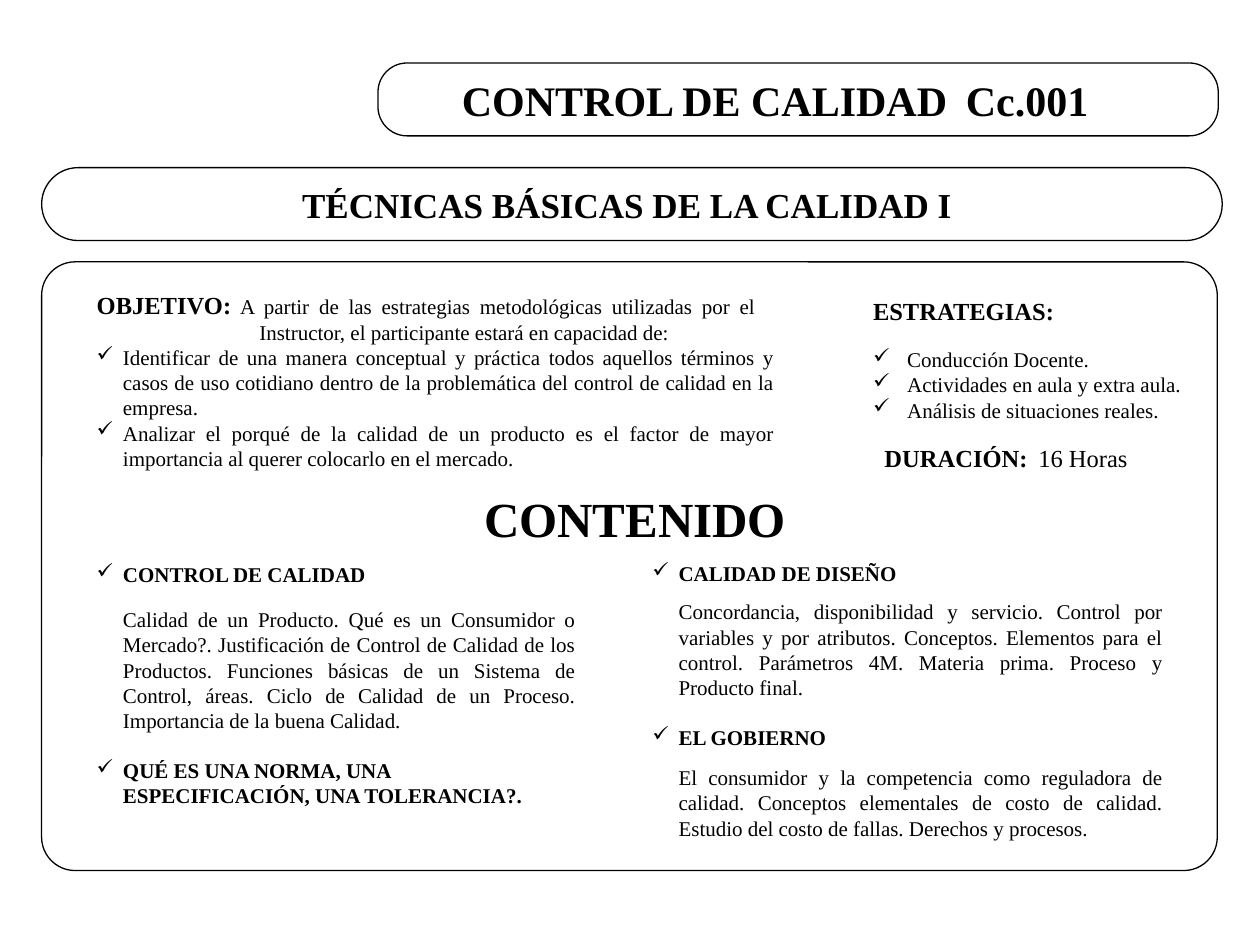
"""Build the course sheet for basic quality techniques."""
from lxml.etree import SubElement
from pptx import Presentation
from pptx.dml.color import RGBColor
from pptx.enum.shapes import MSO_SHAPE
from pptx.enum.text import MSO_ANCHOR, PP_ALIGN
from pptx.oxml.ns import qn
from pptx.util import Cm, Pt

LEFT, CENTER, JUSTIFY = PP_ALIGN.LEFT, PP_ALIGN.CENTER, PP_ALIGN.JUSTIFY


def rgb(value):
    return RGBColor.from_string(value)


def add_text(tf, text, p=None, size=12, bold=False, align=LEFT, before=0,
             margin=0, hang=0, right=0, check=False, tab=None):
    if p is None:
        p = tf.add_paragraph() if tf.paragraphs[0].runs else tf.paragraphs[0]
        pPr = p._p.get_or_add_pPr()
        pPr.set("marL", str(Cm(margin)))
        pPr.set("indent", str(-Cm(hang)))
        pPr.set("marR", str(Cm(right)))
        if check:
            clr = SubElement(pPr, qn("a:buClr"))
            SubElement(clr, qn("a:srgbClr"), val="000000")
            SubElement(pPr, qn("a:buChar"), char="✓")
        else:
            SubElement(pPr, qn("a:buNone"))
        if tab:
            tabs = SubElement(pPr, qn("a:tabLst"))
            SubElement(tabs, qn("a:tab"), pos=str(Cm(tab)), algn="l")
        p.alignment = align
        p.space_before = Pt(before)
    r = p.add_run()
    r.text = text
    r.font.name = "Times New Roman"
    r.font.size = Pt(size)
    r.font.bold = bold
    r.font.color.rgb = rgb("000000")
    return p


prs = Presentation()
prs.slide_width, prs.slide_height = Cm(25.4), Cm(19.05)
s = prs.slides.add_slide(prs.slide_layouts[6])

frames = []
for x, y, w, h, adj in [
    (0.84, 3.38, 23.8, 1.47, 0.5),
    (7.62, 1.27, 16.94, 1.47, 0.4),
    (0.84, 5.28, 23.7, 12.27, 0.055),
]:
    sp = s.shapes.add_shape(MSO_SHAPE.ROUNDED_RECTANGLE, Cm(x), Cm(y), Cm(w), Cm(h))
    sp.adjustments[0] = adj
    sp.shadow.inherit = False
    sp.fill.solid()
    sp.fill.fore_color.rgb = rgb("FFFFFF")
    sp.line.color.rgb = rgb("000000")
    sp.line.width = Pt(0.75)
    sp.text_frame.vertical_anchor = MSO_ANCHOR.MIDDLE
    frames.append(sp.text_frame)

subtitle, title, panel = frames
subtitle.margin_right = Cm(0.45)
add_text(subtitle, "TÉCNICAS BÁSICAS DE LA CALIDAD I", size=20, bold=True, align=CENTER)
title.margin_left, title.margin_right = Cm(1.52), 0
add_text(title, "CONTROL DE CALIDAD\tCc.001", size=24, bold=True, tab=12.53)

boxes = []
for x, y, w, h in [
    (1.27, 9.73, 23.06, 1.45),
    (1.7, 11.2, 10.16, 5.74),
    (17.58, 8.46, 5.92, 1.27),
    (1.7, 5.72, 14.17, 3.91),
    (17.35, 5.85, 8.05, 2.8),
    (12.9, 11.18, 10.8, 5.97),
]:
    tf = s.shapes.add_textbox(Cm(x), Cm(y), Cm(w), Cm(h)).text_frame
    tf.word_wrap = True
    boxes.append(tf)

heading, topics_left, duration, objective, strategies, topics_right = boxes
add_text(heading, "CONTENIDO", size=28, bold=True, align=CENTER)

p = add_text(duration, "DURACIÓN:", size=14, bold=True)
add_text(duration, " ", p, size=24)
add_text(duration, "16 Horas", p, size=14)

p = add_text(objective, "OBJETIVO:", size=14, bold=True, align=JUSTIFY,
             margin=3.28, hang=3.28, right=0.38)
add_text(objective, " A partir de las estrategias metodológicas utilizadas por el "
         "Instructor, el participante estará en capacidad de:", p)
for text in [
    "Identificar de una manera conceptual y práctica todos aquellos términos y casos "
    "de uso cotidiano dentro de la problemática del control de calidad en la empresa.",
    "Analizar el porqué de la calidad de un producto es el factor de mayor "
    "importancia al querer colocarlo en el mercado.",
]:
    add_text(objective, text, align=JUSTIFY, margin=0.53, hang=0.53, check=True)

add_text(strategies, "ESTRATEGIAS:", size=14, bold=True)
for text, before in [
    ("Conducción Docente.", 12),
    ("Actividades en aula y extra aula.", 0),
    ("Análisis de situaciones reales.", 0),
]:
    add_text(strategies, text, before=before, margin=0.69, hang=0.69, check=True)

for tf, topic, before, body, gap in [
    (topics_left, "CONTROL DE CALIDAD", 0,
     "Calidad de un Producto. Qué es un Consumidor o Mercado?. Justificación de "
     "Control de Calidad de los Productos. Funciones básicas de un Sistema de "
     "Control, áreas. Ciclo de Calidad de un Proceso. Importancia de la buena "
     "Calidad.", 11.3),
    (topics_left, "QUÉ ES UNA NORMA, UNA ESPECIFICACIÓN, UNA TOLERANCIA?.", 14.3, None, 0),
    (topics_right, "CALIDAD DE DISEÑO", 0,
     "Concordancia, disponibilidad y servicio. Control por variables y por "
     "atributos. Conceptos. Elementos para el control. Parámetros 4M. Materia "
     "prima. Proceso y Producto final.", 7.4),
    (topics_right, "EL GOBIERNO", 14.3,
     "El consumidor y la competencia como reguladora de calidad. Conceptos "
     "elementales de costo de calidad. Estudio del costo de fallas. Derechos y "
     "procesos.", 8.5),
]:
    add_text(tf, topic, bold=True, before=before, margin=0.53, hang=0.53, check=True)
    if body:
        add_text(tf, body, align=JUSTIFY, before=gap, margin=0.53)

prs.save("out.pptx")
